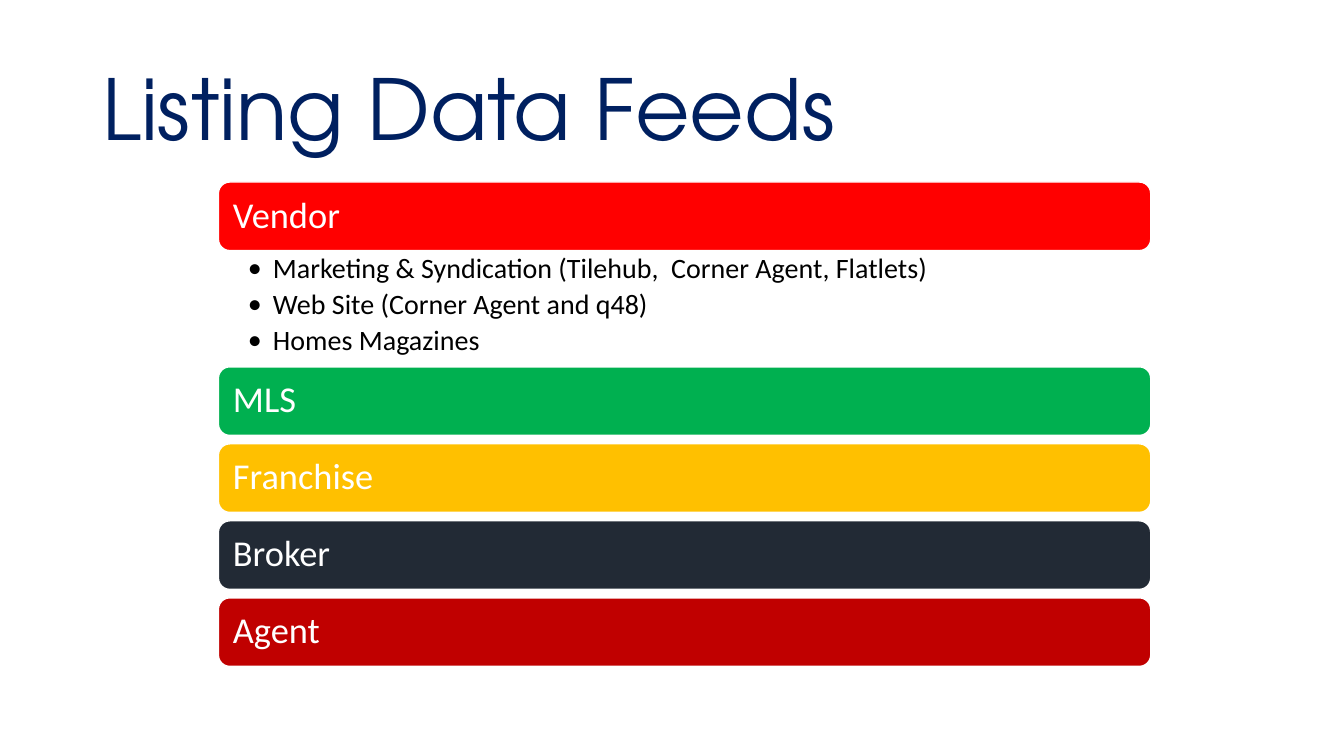
from dataclasses import dataclass

from lxml import etree
from pptx import Presentation
from pptx.dml.color import RGBColor
from pptx.enum import shapes, text
from pptx.oxml import ns
from pptx.util import Pt

COLORS = {
    "title": "002060",
    "white": "FFFFFF",
    "black": "000000",
    "red": "FF0000",
    "green": "00B050",
    "amber": "FFC000",
    "slate": "222A35",
    "crimson": "C00000",
}
BODY_FONT = "Calibri"
LEFT, TOP, WIDTH = 156, 130, 666
BAR_HEIGHT, BAR_GAP, DETAILS_HEIGHT = 49, 6, 83
BULLET_INDENT = 18


@dataclass(frozen=True)
class FeedSource:
    name: str
    color: str
    details: tuple[str, ...] = ()


FEED_SOURCES = (
    FeedSource("Vendor", "red", (
        "Marketing & Syndication (Tilehub,  Corner Agent, Flatlets)",
        "Web Site (Corner Agent and q48)",
        "Homes Magazines",
    )),
    FeedSource("MLS", "green"),
    FeedSource("Franchise", "amber"),
    FeedSource("Broker", "slate"),
    FeedSource("Agent", "crimson"),
)


def rgb(name: str) -> RGBColor:
    return RGBColor.from_string(COLORS[name])


def set_insets(frame, left: float, top: float, right: float, bottom: float) -> None:
    frame.margin_left, frame.margin_top = Pt(left), Pt(top)
    frame.margin_right, frame.margin_bottom = Pt(right), Pt(bottom)


def format_paragraph(paragraph, size: float, color: str, font: str = BODY_FONT) -> None:
    paragraph.alignment = text.PP_ALIGN.LEFT
    paragraph.line_spacing = 0.9
    for run in paragraph.runs:
        run.font.name = font
        run.font.size = Pt(size)
        run.font.color.rgb = rgb(color)


def add_bullet(paragraph) -> None:
    properties = paragraph._p.get_or_add_pPr()
    properties.set("marL", str(Pt(BULLET_INDENT)))
    properties.set("indent", str(-Pt(BULLET_INDENT)))
    etree.SubElement(properties, ns.qn("a:buFont")).set("typeface", BODY_FONT)
    etree.SubElement(properties, ns.qn("a:buChar")).set("char", "•")


def add_title(slide, wording: str) -> None:
    title = slide.shapes.add_textbox(Pt(66), Pt(28.75), Pt(828), Pt(104.5))
    frame = title.text_frame
    frame.word_wrap = True
    frame.vertical_anchor = text.MSO_ANCHOR.MIDDLE
    frame.text = wording
    format_paragraph(frame.paragraphs[0], 60, "title", "TeX Gyre Adventor")


def add_bar(slide, source: FeedSource, top: float) -> None:
    bar = slide.shapes.add_shape(
        shapes.MSO_SHAPE.ROUNDED_RECTANGLE,
        Pt(LEFT), Pt(top), Pt(WIDTH), Pt(BAR_HEIGHT),
    )
    bar.shadow.inherit = False
    bar.fill.solid()
    bar.fill.fore_color.rgb = rgb(source.color)
    bar.line.color.rgb = rgb("white")
    bar.line.width = Pt(1)
    frame = bar.text_frame
    frame.word_wrap = True
    frame.vertical_anchor = text.MSO_ANCHOR.MIDDLE
    set_insets(frame, 8, 8, 8, 8)
    frame.text = source.name
    format_paragraph(frame.paragraphs[0], 26, "white")


def add_details(slide, details: tuple[str, ...], top: float) -> None:
    box = slide.shapes.add_textbox(Pt(LEFT), Pt(top), Pt(WIDTH), Pt(DETAILS_HEIGHT))
    frame = box.text_frame
    frame.word_wrap = True
    set_insets(frame, 21, 3, 14, 3)
    frame.text = "\n".join(details)
    for paragraph in frame.paragraphs:
        add_bullet(paragraph)
        format_paragraph(paragraph, 20, "black")
        paragraph.space_after = Pt(4)


def main() -> None:
    deck = Presentation()
    deck.slide_width, deck.slide_height = Pt(960), Pt(540)
    slide = deck.slides.add_slide(deck.slide_layouts[6])
    add_title(slide, "Listing Data Feeds")
    top = TOP
    for source in FEED_SOURCES:
        add_bar(slide, source, top)
        top += BAR_HEIGHT
        if source.details:
            add_details(slide, source.details, top)
            top += DETAILS_HEIGHT
        else:
            top += BAR_GAP
    deck.save("out.pptx")


if __name__ == "__main__":
    main()
